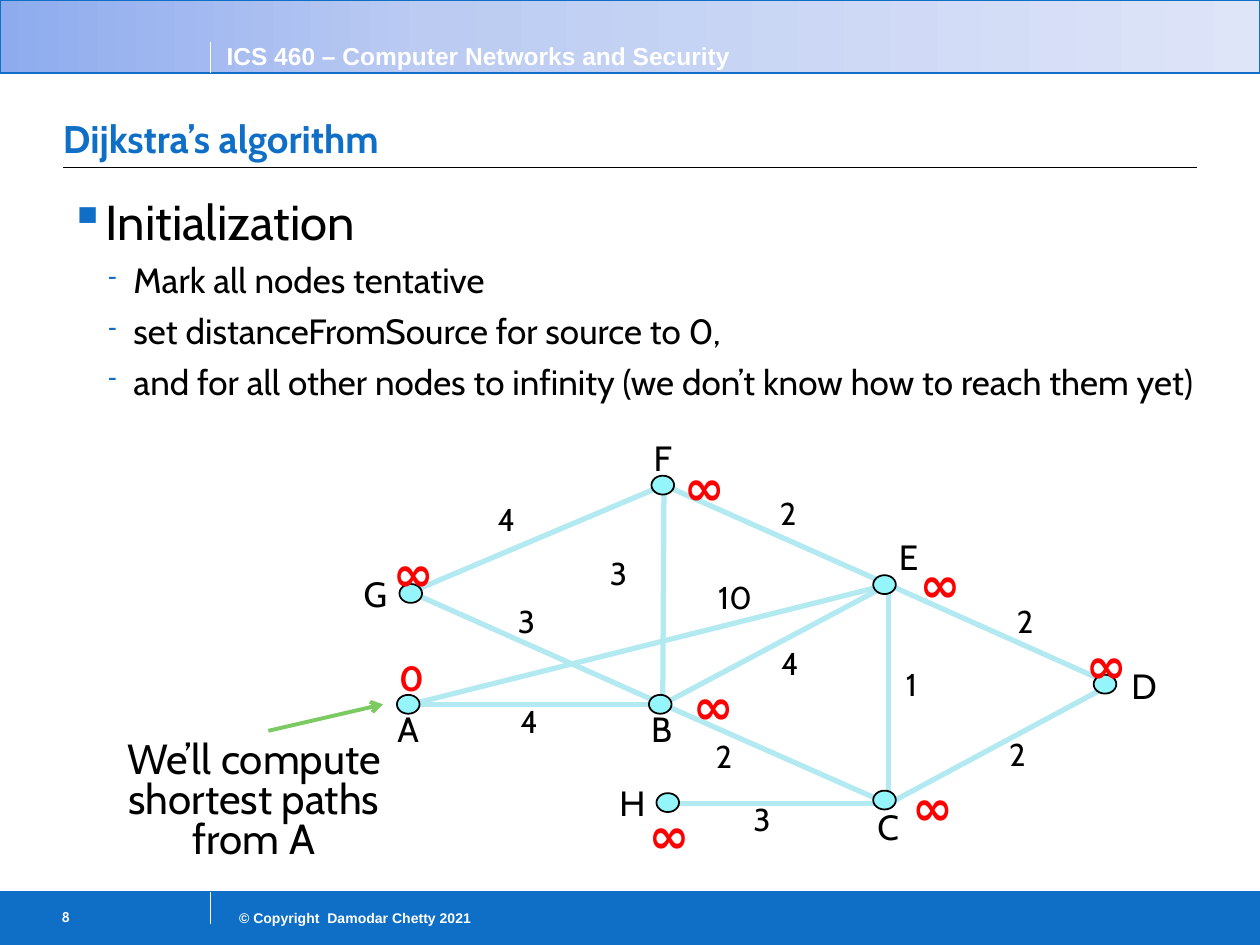
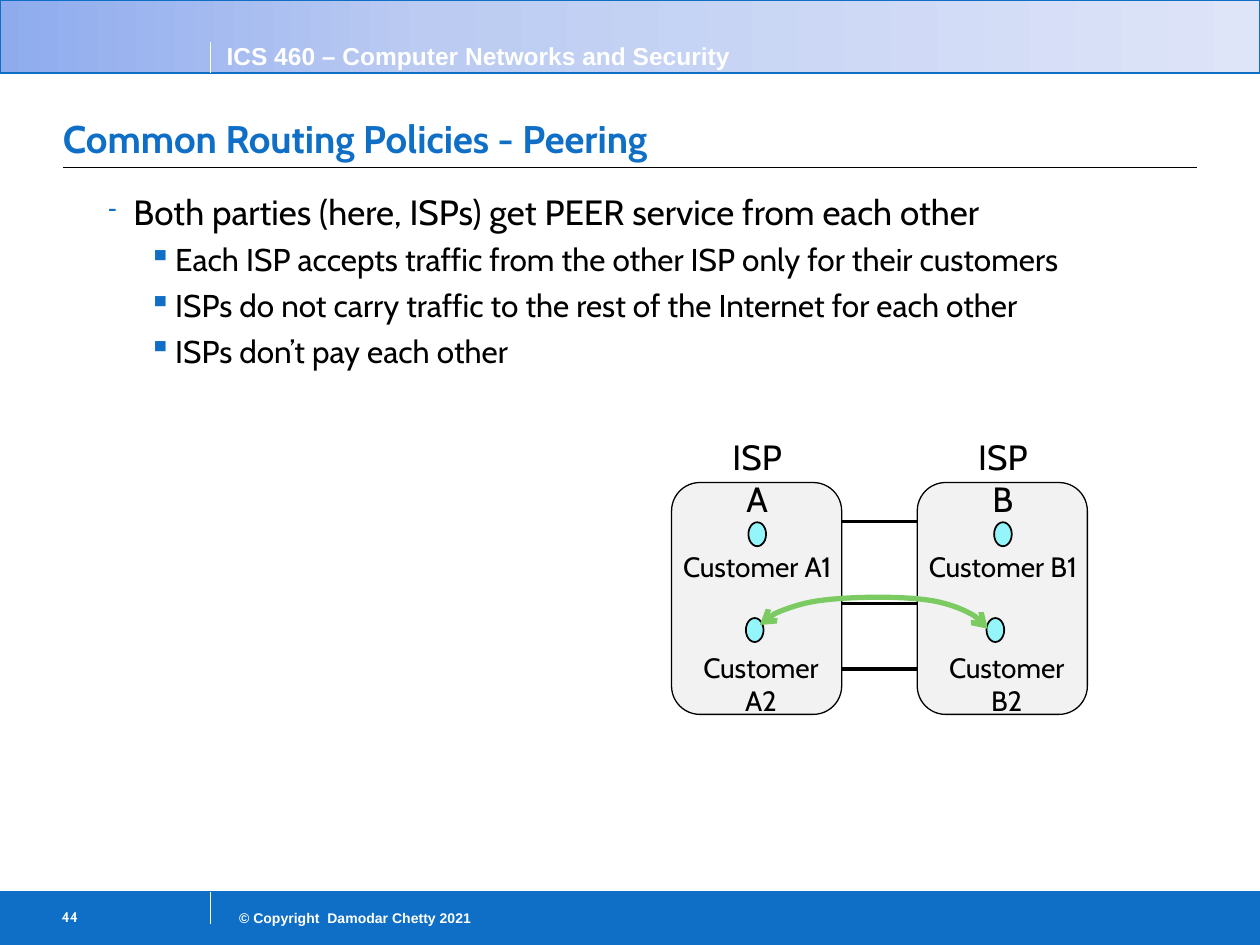
from dataclasses import dataclass
from typing import NamedTuple

from lxml.etree import SubElement
from pptx import Presentation
from pptx.dml.color import RGBColor
from pptx.enum.shapes import MSO_CONNECTOR, MSO_SHAPE
from pptx.enum.text import MSO_ANCHOR, MSO_AUTO_SIZE, PP_ALIGN
from pptx.oxml.ns import qn
from pptx.util import Inches, Pt

BLUE = RGBColor(0x0F, 0x6F, 0xC6)
WHITE = RGBColor(0xFF, 0xFF, 0xFF)
BLACK = RGBColor(0, 0, 0)
RED = RGBColor(0xFF, 0, 0)
GREEN = RGBColor(0x7C, 0xCA, 0x62)
EDGE_BLUE = RGBColor(0xB3, 0xEA, 0xF2)
NODE_BLUE = RGBColor(0x94, 0xF5, 0xFA)
PALE_GREY = RGBColor(0xF2, 0xF2, 0xF2)
HEADER_STOPS = [
    (0, RGBColor(0x8E, 0xAB, 0xEE)),
    (34, RGBColor(0xBB, 0xCB, 0xF2)),
    (100, RGBColor(0xDE, 0xE5, 0xF8)),
]
HEADER_BOTTOM, FOOTER_TOP, DIVIDER_X = 0.58, 7.08, 1.67
DEFAULT_INSETS = (0.1, 0.05, 0.1, 0.05)


class Point(NamedTuple):
    x: float
    y: float


class Area(NamedTuple):
    left: float
    top: float
    width: float
    height: float


def around(center: Point, width: float, height: float) -> Area:
    return Area(center.x - width / 2, center.y - height / 2, width, height)


@dataclass(frozen=True)
class TextStyle:
    size: float
    color: RGBColor = BLACK
    bold: bool = False
    font: str = "Cabin"
    align: PP_ALIGN = PP_ALIGN.LEFT
    anchor: MSO_ANCHOR = MSO_ANCHOR.TOP
    insets: tuple = DEFAULT_INSETS
    wrap: bool = True
    grow: bool = False
    line_spacing: float | None = None


@dataclass(frozen=True)
class BulletLevel:
    size: float
    indent: float
    hanging: float
    symbol: str
    symbol_percent: int = 100


@dataclass(frozen=True)
class Node:
    """joint is where edges meet; the other points are centres."""
    name: str
    joint: Point
    dot: Point
    label: Point
    distance: Point


class Edge(NamedTuple):
    start: str
    end: str
    weight: str
    weight_at: Point


@dataclass(frozen=True)
class Provider:
    letter: str
    left: float
    second_dot: Point


TITLE = TextStyle(22, BLUE, True, anchor=MSO_ANCHOR.BOTTOM, insets=(0, 0.05, 0, 0.05))
COURSE = TextStyle(14, WHITE, True, "Arial", grow=True)
COPYRIGHT = TextStyle(8, WHITE, True, "Arial", PP_ALIGN.RIGHT, grow=True)
PAGE_NUMBER = TextStyle(8, WHITE, True, insets=(0.16, 0.07, 0.1, 0.05))
NODE_LABEL = TextStyle(20, align=PP_ALIGN.CENTER, anchor=MSO_ANCHOR.MIDDLE, wrap=False, grow=True)
WEIGHT = TextStyle(18, insets=(0.05, 0, 0.05, 0), wrap=False, grow=True)
SOURCE_DISTANCE = TextStyle(20, RED, True, align=PP_ALIGN.CENTER, wrap=False, grow=True)
INFINITE_DISTANCE = TextStyle(28, RED, True, align=PP_ALIGN.CENTER, wrap=False, grow=True)
CALLOUT = TextStyle(24, align=PP_ALIGN.CENTER, grow=True, line_spacing=0.8)
PROVIDER_NAME = TextStyle(20, align=PP_ALIGN.CENTER)
CUSTOMER = TextStyle(16, align=PP_ALIGN.CENTER, insets=(0, 0, 0, 0), wrap=False)
CUSTOMER_WRAPPED = TextStyle(16, align=PP_ALIGN.CENTER, insets=(0, 0, 0, 0))

TOPIC = BulletLevel(28, 0.21, 0.21, "▪")
POINT = BulletLevel(20, 0.51, 0.2, "-", 70)
DETAIL = BulletLevel(18, 0.84, 0.21, "▪")

NODES = [
    Node("A", Point(3.26, 5.59), Point(3.24, 5.59), Point(3.24, 5.78), Point(3.24, 5.38)),
    Node("B", Point(5.26, 5.59), Point(5.24, 5.59), Point(5.25, 5.78), Point(5.66, 5.6)),
    Node("C", Point(7.05, 6.38), Point(7.02, 6.35), Point(7.05, 6.56), Point(7.4, 6.4)),
    Node("D", Point(8.82, 5.43), Point(8.77, 5.43), Point(9.08, 5.44), Point(8.78, 5.27)),
    Node("E", Point(7.05, 4.64), Point(7.02, 4.64), Point(7.21, 4.42), Point(7.46, 4.63)),
    Node("F", Point(5.27, 3.85), Point(5.26, 3.85), Point(5.26, 3.63), Point(5.59, 3.86)),
    Node("G", Point(3.26, 4.7), Point(3.26, 4.71), Point(2.98, 4.71), Point(3.28, 4.54)),
    Node("H", Point(5.26, 6.38), Point(5.3, 6.37), Point(5.02, 6.37), Point(5.31, 6.62)),
]
EDGES = [
    Edge("A", "B", "4", Point(4.08, 5.57)),
    Edge("B", "C", "2", Point(5.63, 5.85)),
    Edge("C", "E", "1", Point(7.14, 5.28)),
    Edge("B", "E", "4", Point(6.15, 5.11)),
    Edge("A", "E", "10", Point(5.65, 4.59)),
    Edge("B", "F", "3", Point(4.79, 4.4)),
    Edge("B", "G", "3", Point(4.06, 4.78)),
    Edge("G", "F", "4", Point(3.9, 3.97)),
    Edge("F", "E", "2", Point(6.14, 3.92)),
    Edge("E", "D", "2", Point(8.02, 4.78)),
    Edge("C", "D", "2", Point(7.96, 5.83)),
    Edge("C", "H", "3", Point(5.93, 6.35)),
]
PROVIDERS = [
    Provider("A", 5.33, Point(5.99, 5)),
    Provider("B", 7.28, Point(7.9, 5)),
]
LINK_HEIGHTS = [4.14, 4.79, 5.31]
PEERING_CURVE = [
    [Point(7.84, 4.99), Point(7.82, 4.92), Point(7.65, 4.83), Point(7.5, 4.79)],
    [Point(7.5, 4.79), Point(7.36, 4.75), Point(7.16, 4.74), Point(6.97, 4.74)],
    [Point(6.97, 4.74), Point(6.79, 4.74), Point(6.54, 4.75), Point(6.38, 4.79)],
    [Point(6.38, 4.79), Point(6.23, 4.83), Point(6.07, 4.89), Point(6.03, 4.96)],
]


def add_span(para, text: str, style: TextStyle) -> None:
    span = para.add_run()
    span.text = text
    span.font.name = style.font
    span.font.size = Pt(style.size)
    span.font.bold = style.bold
    span.font.color.rgb = style.color


def add_frame(page, area: Area, style: TextStyle):
    frame = page.shapes.add_textbox(*map(Inches, area)).text_frame
    frame.word_wrap = style.wrap
    frame.auto_size = MSO_AUTO_SIZE.SHAPE_TO_FIT_TEXT if style.grow else MSO_AUTO_SIZE.NONE
    frame.vertical_anchor = style.anchor
    (frame.margin_left, frame.margin_top,
     frame.margin_right, frame.margin_bottom) = map(Inches, style.insets)
    return frame


def add_text(page, area: Area, text: str, style: TextStyle) -> None:
    para = add_frame(page, area, style).paragraphs[0]
    para.alignment = style.align
    if style.line_spacing:
        para.line_spacing = style.line_spacing
    add_span(para, text, style)


def add_bullets(page, items: list[tuple[BulletLevel, str]]) -> None:
    frame = add_frame(page, Area(0.5, 1.45, 9.5, 5.39), TextStyle(20, insets=(0.05,) * 4))
    for index, (level, text) in enumerate(items):
        para = frame.add_paragraph() if index else frame.paragraphs[0]
        para.line_spacing = 1.04
        para.space_before = Pt(level.size * 0.2)
        properties = para._p.get_or_add_pPr()
        properties.set("marL", str(Inches(level.indent)))
        properties.set("indent", str(-Inches(level.hanging)))
        color = SubElement(properties, qn("a:buClr"))
        SubElement(color, qn("a:srgbClr"), val=str(BLUE))
        SubElement(properties, qn("a:buSzPct"), val=str(level.symbol_percent * 1000))
        SubElement(properties, qn("a:buChar"), char=level.symbol)
        add_span(para, text, TextStyle(level.size))


def add_outlined(page, preset: MSO_SHAPE, area: Area, fill: RGBColor,
                 line: RGBColor = BLACK, line_width: float = 0.75):
    shape = page.shapes.add_shape(preset, *map(Inches, area))
    shape.shadow.inherit = False
    shape.fill.solid()
    shape.fill.fore_color.rgb = fill
    shape.line.color.rgb = line
    shape.line.width = Pt(line_width)
    return shape


def add_dot(page, center: Point, width: float, height: float) -> None:
    add_outlined(page, MSO_SHAPE.OVAL, around(center, width, height), NODE_BLUE, line_width=1)


def add_arrowheads(shape, *ends: str) -> None:
    for end in ends:
        SubElement(shape.line._get_or_add_ln(), qn(f"a:{end}"), type="arrow")


def add_line(page, start: Point, end: Point, color: RGBColor, width: float):
    line = page.shapes.add_connector(MSO_CONNECTOR.STRAIGHT, *map(Inches, (*start, *end)))
    line.line.color.rgb = color
    line.line.width = Pt(width)
    SubElement(line._element.spPr, qn("a:effectLst"))
    return line


def add_header_gradient(header) -> None:
    header.fill.gradient()
    header.fill.gradient_angle = 0
    stops = header._element.spPr.find(qn("a:gradFill")).find(qn("a:gsLst"))
    for stop in list(stops):
        stops.remove(stop)
    for percent, color in HEADER_STOPS:
        stop = SubElement(stops, qn("a:gs"), pos=str(percent * 1000))
        SubElement(stop, qn("a:srgbClr"), val=str(color))


def add_page(deck, title: str, number: str):
    """Add a slide with the bands, rules, title and footer common to all."""
    page = deck.slides.add_slide(deck.slide_layouts[6])
    add_outlined(page, MSO_SHAPE.RECTANGLE, Area(0, FOOTER_TOP, 10, 0.42), BLUE, BLUE)
    header = add_outlined(page, MSO_SHAPE.RECTANGLE, Area(0, 0, 10, HEADER_BOTTOM), WHITE, BLUE)
    add_header_gradient(header)
    add_text(page, Area(DIVIDER_X, 7.17, 2.17, 0.24), "© Copyright  Damodar Chetty 2021", COPYRIGHT)
    for y in (HEADER_BOTTOM, FOOTER_TOP):
        add_line(page, Point(0, y), Point(10, y), BLUE, 0.5)
        add_line(page, Point(DIVIDER_X, y + 0.25 if y == FOOTER_TOP else y - 0.25),
                 Point(DIVIDER_X, y), WHITE, 0.75)
    add_line(page, Point(0.5, 1.33), Point(9.5, 1.33), BLACK, 0.75)
    add_text(page, Area(1.7, 0.28, 4.3, 0.34), "ICS 460 – Computer Networks and Security", COURSE)
    add_text(page, Area(0.5, 0.61, 9, 0.72), title, TITLE)
    add_text(page, Area(0.33, 7.14, 1.33, 0.35), number, PAGE_NUMBER)
    return page


def add_graph(page) -> None:
    joints = {node.name: node.joint for node in NODES}
    for edge in EDGES:
        add_line(page, joints[edge.start], joints[edge.end], EDGE_BLUE, 3)
    for node in NODES:
        add_dot(page, node.dot, 0.18, 0.15)
    for edge in EDGES:
        width = 0.37 if len(edge.weight) == 1 else 0.57
        add_text(page, Area(*edge.weight_at, width, 0.3), edge.weight, WEIGHT)
    for node in NODES:
        add_text(page, around(node.label, 0.58, 0.43), node.name, NODE_LABEL)
        if node.name == "A":
            add_text(page, around(node.distance, 0.34, 0.44), "0", SOURCE_DISTANCE)
        else:
            add_text(page, around(node.distance, 0.53, 0.57), "∞", INFINITE_DISTANCE)


def add_provider(page, provider: Provider) -> None:
    add_outlined(page, MSO_SHAPE.ROUNDED_RECTANGLE, Area(provider.left, 3.83, 1.35, 1.84), PALE_GREY)
    middle = provider.left + 0.68
    add_dot(page, Point(middle, 4.24), 0.14, 0.19)
    add_dot(page, provider.second_dot, 0.14, 0.19)
    add_text(page, Area(middle - 0.33, 3.41, 0.66, 0.44), f"ISP {provider.letter}", PROVIDER_NAME)
    add_text(page, Area(middle - 0.6, 4.36, 1.2, 0.27), f"Customer {provider.letter}1", CUSTOMER)
    add_text(page, Area(middle - 0.47, 5.16, 1, 0.27), f"Customer {provider.letter}2", CUSTOMER_WRAPPED)


def bezier_point(controls: list[Point], t: float) -> Point:
    weights = ((1 - t) ** 3, 3 * t * (1 - t) ** 2, 3 * t ** 2 * (1 - t), t ** 3)
    return Point(sum(w * p.x for w, p in zip(weights, controls)),
                 sum(w * p.y for w, p in zip(weights, controls)))


def add_peering_arrow(page, steps: int = 10) -> None:
    points = [bezier_point(controls, step / steps)
              for controls in PEERING_CURVE for step in range(1, steps + 1)]
    start = PEERING_CURVE[0][0]
    builder = page.shapes.build_freeform(Inches(start.x), Inches(start.y))
    builder.add_line_segments([(Inches(p.x), Inches(p.y)) for p in points], close=False)
    curve = builder.convert_to_shape()
    curve.shadow.inherit = False
    curve.fill.background()
    curve.line.color.rgb = GREEN
    curve.line.width = Pt(3)
    add_arrowheads(curve, "headEnd", "tailEnd")


def build_dijkstra_page(deck) -> None:
    page = add_page(deck, "Dijkstra’s algorithm", "8")
    add_bullets(page, [
        (TOPIC, "Initialization"),
        (POINT, "Mark all nodes tentative"),
        (POINT, "set distanceFromSource for source to 0,"),
        (POINT, "and for all other nodes to infinity (we don’t know how to reach them yet)"),
    ])
    add_graph(page)
    pointer = add_line(page, Point(2.13, 5.8), Point(3.04, 5.59), GREEN, 2.25)
    add_arrowheads(pointer, "tailEnd")
    add_text(page, Area(0.62, 5.84, 2.79, 1.08), "We’ll compute shortest paths from A", CALLOUT)


def build_peering_page(deck) -> None:
    page = add_page(deck, "Common Routing Policies - Peering", "44")
    add_bullets(page, [
        (POINT, "Both parties (here, ISPs) get PEER service from each other"),
        (DETAIL, "Each ISP accepts traffic from the other ISP only for their customers"),
        (DETAIL, "ISPs do not carry traffic to the rest of the Internet for each other"),
        (DETAIL, "ISPs don’t pay each other"),
    ])
    for y in LINK_HEIGHTS:
        add_line(page, Point(6.6, y), Point(7.35, y), BLACK, 2)
    for provider in PROVIDERS:
        add_provider(page, provider)
    add_peering_arrow(page)


def main() -> None:
    deck = Presentation()
    deck.slide_width, deck.slide_height = Inches(10), Inches(7.5)
    build_dijkstra_page(deck)
    build_peering_page(deck)
    deck.save("out.pptx")


if __name__ == "__main__":
    main()
